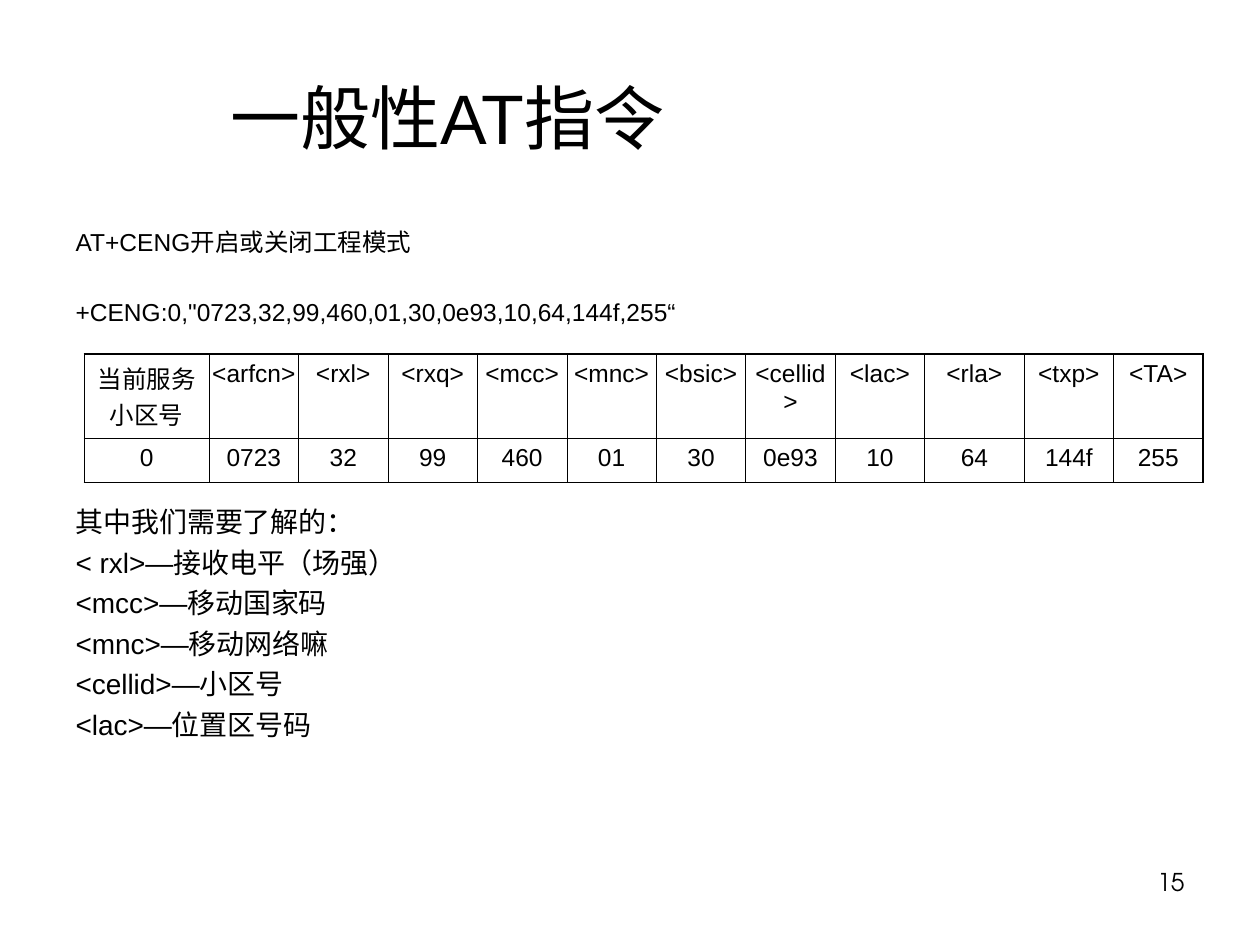
from pptx import Presentation
from pptx.dml.color import RGBColor
from pptx.enum.text import MSO_ANCHOR, MSO_AUTO_SIZE, PP_ALIGN
from pptx.oxml.ns import qn
from pptx.util import Inches, Pt
from lxml.etree import SubElement

BLACK = "000000"


def add_text(frame, text, size=14, font="Arial", color=BLACK, align=PP_ALIGN.LEFT,
             before=0, margin=0, indent=0):
    """Write text into the frame's empty first paragraph, or into a new one."""
    first = frame.paragraphs[0]
    paragraph = frame.add_paragraph() if first.runs else first
    paragraph.alignment = align
    paragraph.space_before = Pt(before)
    properties = paragraph._p.get_or_add_pPr()
    properties.set("marL", str(Inches(margin)))
    properties.set("indent", str(Inches(indent)))
    SubElement(properties, qn("a:buNone"))
    run = paragraph.add_run()
    run.text = text
    run.font.size = Pt(size)
    run.font.name = font
    run.font.color.rgb = RGBColor.from_string(color)


def add_border(cell, side, width, color=BLACK):
    line = SubElement(cell._tc.get_or_add_tcPr(), qn(f"a:ln{side}"), w=str(Pt(width)))
    fill = SubElement(line, qn("a:solidFill"))
    SubElement(fill, qn("a:srgbClr"), val=color)


prs = Presentation()
prs.slide_width, prs.slide_height = Inches(10), Inches(7.5)
slide = prs.slides.add_slide(prs.slide_layouts[1])

# Title
title = slide.shapes.title
title.left, title.top, title.width, title.height = map(Inches, (0.5, 0.3, 9, 1.25))
title.text_frame.auto_size = MSO_AUTO_SIZE.NONE
title.text_frame.vertical_anchor = MSO_ANCHOR.MIDDLE
add_text(title.text_frame, "一般性AT指令", size=40, margin=1.23)

# Command, response and explanations: text, size, space before
body = slide.placeholders[1]
body.left, body.top, body.width, body.height = map(Inches, (0.5, 1.75, 9.3, 4.95))
body.text_frame.auto_size = MSO_AUTO_SIZE.NONE
body_lines = [
    ("AT+CENG开启或关闭工程模式", 14, 3.5),
    ('+CENG:0,"0723,32,99,460,01,30,0e93,10,64,144f,255“', 14, 23.1),
    ("其中我们需要了解的：", 16, 102),
    ("< rxl>—接收电平（场强）", 16, 4),
    ("<mcc>—移动国家码", 16, 4),
    ("<mnc>—移动网络嘛", 16, 4),
    ("<cellid>—小区号", 16, 4),
    ("<lac>—位置区号码", 16, 4),
]
for text, size, before in body_lines:
    add_text(body.text_frame, text, size=size, before=before, margin=0.38, indent=-0.38)

# Response fields and their values
fields = [
    ("当前服务小区号", "0"), ("<arfcn>", "0723"), ("<rxl>", "32"), ("<rxq>", "99"),
    ("<mcc>", "460"), ("<mnc>", "01"), ("<bsic>", "30"), ("<cellid>", "0e93"),
    ("<lac>", "10"), ("<rla>", "64"), ("<txp>", "144f"), ("<TA>", "255"),
]
wide_columns = {"当前服务小区号": 0.99, "<rla>": 0.79}
THIN, THICK = 0.45, 1.08
last = len(fields) - 1
table = slide.shapes.add_table(2, len(fields), Inches(0.67), Inches(2.81),
                               Inches(8.86), Inches(1.02)).table
table.first_row = table.horz_banding = False
table.rows[0].height, table.rows[1].height = Inches(0.67), Inches(0.35)

for col, field in enumerate(fields):
    table.columns[col].width = Inches(wide_columns.get(field[0], 0.71))
    for row, text in enumerate(field):
        cell = table.cell(row, col)
        cell.margin_left = cell.margin_right = Inches(0.02)
        add_text(cell.text_frame, text, align=PP_ALIGN.CENTER, before=3.5)
        outer_sides = {"L": col == 0, "R": col == last, "T": row == 0, "B": row == 1}
        for side, is_outer in outer_sides.items():
            add_border(cell, side, THICK if is_outer else THIN)
        cell.fill.background()

# Page number
page_number = slide.shapes.add_textbox(Inches(7.17), Inches(6.83), Inches(2.33), Inches(0.52))
page_number.text_frame.word_wrap = True
add_text(page_number.text_frame, "15", font="TeX Gyre Adventor", align=PP_ALIGN.RIGHT)

prs.save("out.pptx")
